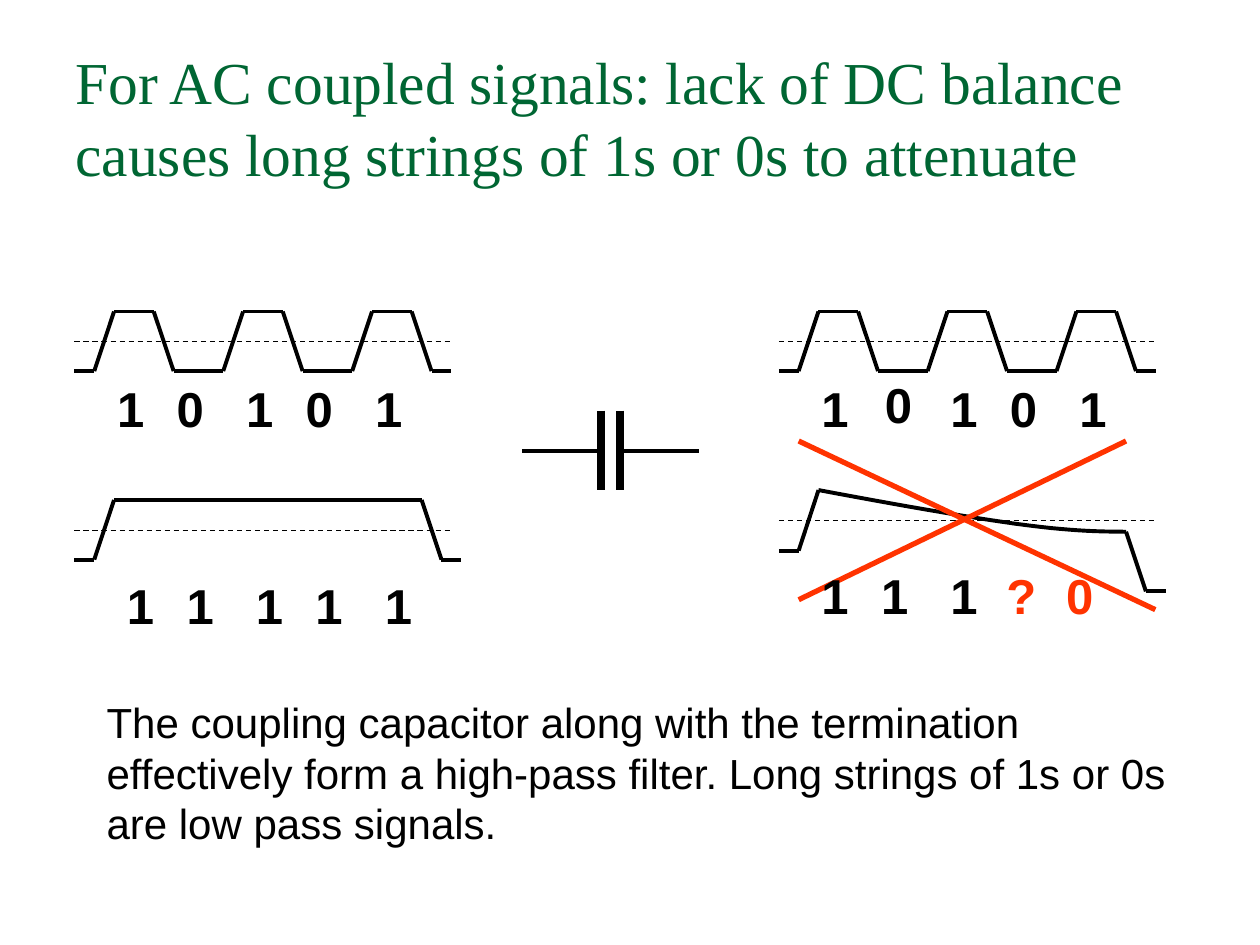
import itertools

import pptx
import pptx.dml.color
import pptx.enum.dml
import pptx.enum.shapes
import pptx.enum.text
import pptx.util
from lxml import etree

Cm = pptx.util.Cm
Pt = pptx.util.Pt
BLACK = "000000"
GREEN = "006633"
RED = "FF3300"


def color(hex_string):
    return pptx.dml.color.RGBColor.from_string(hex_string)


def bezier(start, control_1, control_2, end, steps=12):
    """Return points on a cubic curve, leaving out its start."""
    points = []
    for step in range(1, steps + 1):
        t = step / steps
        weights = ((1 - t) ** 3, 3 * t * (1 - t) ** 2, 3 * t ** 2 * (1 - t), t ** 3)
        corners = (start, control_1, control_2, end)
        points.append(tuple(sum(weight * corner[axis] for weight, corner in zip(weights, corners))
                            for axis in (0, 1)))
    return points


class SlideWriter:
    """Holds the signal diagram style and the slide being drawn."""

    heading_font = "Times New Roman"
    body_font = "Arial"
    signal_width = 2.25

    def __init__(self, presentation):
        self.slide = presentation.slides.add_slide(presentation.slide_layouts[5])

    def add_run(self, paragraph, text, size, font_name, hex_string=BLACK, bold=False):
        run = paragraph.add_run()
        run.text = text
        run.font.size = Pt(size)
        run.font.name = font_name
        run.font.bold = bold
        run.font.color.rgb = color(hex_string)

    def title(self, text, left, top, width, height):
        shape = self.slide.shapes.title
        shape.left, shape.top, shape.width, shape.height = map(Cm, (left, top, width, height))
        frame = shape.text_frame
        frame.auto_size = pptx.enum.text.MSO_AUTO_SIZE.NONE
        frame.vertical_anchor = pptx.enum.text.MSO_ANCHOR.MIDDLE
        paragraph = frame.paragraphs[0]
        paragraph.alignment = pptx.enum.text.PP_ALIGN.LEFT
        self.add_run(paragraph, text, 34, self.heading_font, GREEN)

    def text_box(self, left, top, width, height, wrap):
        """Add a text box and return its first paragraph."""
        shape = self.slide.shapes.add_textbox(Cm(left), Cm(top), Cm(width), Cm(height))
        frame = shape.text_frame
        frame.word_wrap = wrap
        frame.auto_size = pptx.enum.text.MSO_AUTO_SIZE.SHAPE_TO_FIT_TEXT
        return frame.paragraphs[0]

    def note(self, text, left, top, width, height):
        paragraph = self.text_box(left, top, width, height, True)
        self.add_run(paragraph, text, 24, self.body_font)

    def bit(self, text, left, top, hex_string=BLACK):
        paragraph = self.text_box(left, top, 1.07, 1.45, False)
        paragraph.alignment = pptx.enum.text.PP_ALIGN.CENTER
        self.add_run(paragraph, text, 28, self.body_font, hex_string, bold=True)

    def line(self, start, end, width=signal_width, hex_string=BLACK, dashed=False):
        connector = self.slide.shapes.add_connector(
            pptx.enum.shapes.MSO_CONNECTOR.STRAIGHT, *map(Cm, (*start, *end)))
        connector.line.width = Pt(width)
        connector.line.color.rgb = color(hex_string)
        if dashed:
            connector.line.dash_style = pptx.enum.dml.MSO_LINE.DASH
        etree.SubElement(connector._element.spPr, pptx.oxml.ns.qn("a:effectLst"))

    def trace(self, points):
        """Join successive points with signal lines."""
        for start, end in itertools.pairwise(points):
            self.line(start, end)

    def curve(self, points):
        points = [(Cm(x), Cm(y)) for x, y in points]
        builder = self.slide.shapes.build_freeform(*points[0])
        builder.add_line_segments(points[1:], close=False)
        shape = builder.convert_to_shape()
        shape.shadow.inherit = False
        shape.fill.background()
        shape.line.width = Pt(self.signal_width)
        shape.line.color.rgb = color(BLACK)


def draw_capacitor(writer):
    axis = 9.09
    for plate, wire_end in ((12.12, 10.52), (12.5, 14.1)):
        writer.line((plate, 8.28), (plate, 9.88), width=4.5)
        writer.line((plate, axis), (wire_end, axis))


def draw_pulse_train(writer, left):
    high, low, period = 6.28, 7.48, 2.6
    points = [(left, low)]
    for pulse in range(3):
        start = left + 0.4 + pulse * period
        points += [(start, low), (start + 0.4, high), (start + 1.2, high), (start + 1.6, low)]
    writer.trace(points + [(left + 7.6, low)])


def draw_attenuated_signal(writer):
    peak, middle, end = (16.5, 9.88), (20.48, 10.56), (22.7, 10.72)
    writer.trace([(15.7, 11.1), (16.1, 11.1), peak])
    writer.curve([peak]
                 + bezier(peak, (17.98, 10.16), (19.46, 10.42), middle)
                 + bezier(middle, (21.5, 10.7), (22.1, 10.72), end))
    writer.trace([end, (23.1, 11.92), (23.5, 11.92)])


def main():
    presentation = pptx.Presentation()
    presentation.slide_width, presentation.slide_height = Cm(25.4), Cm(19.05)
    writer = SlideWriter(presentation)
    writer.title("For AC coupled signals: lack of DC balance causes long strings "
                 "of 1s or 0s to attenuate", 1.27, 0.76, 22.86, 3.18)

    left, right = 1.5, 15.7
    draw_capacitor(writer)
    for start in (left, right):
        draw_pulse_train(writer, start)
    writer.trace([(left, 11.28), (1.9, 11.28), (2.3, 10.08),
                  (8.5, 10.08), (8.9, 11.28), (9.3, 11.28)])
    draw_attenuated_signal(writer)
    for start, height in ((left, 6.88), (right, 6.88), (left, 10.69), (right, 10.49)):
        writer.line((start, height), (start + 7.59, height), width=0.75, dashed=True)
    writer.line((16.1, 12.09), (22.7, 8.89), width=3, hex_string=RED)
    writer.line((16.1, 8.89), (23.29, 12.29), width=3, hex_string=RED)

    bit_offsets = (0.6, 1.8, 3.2, 4.4, 5.8)
    for bits, start, top in (("10101", left, 7.5), ("11111", left + 0.2, 11.48)):
        for text, offset in zip(bits, bit_offsets):
            writer.bit(text, start + offset, top)
    for text, x, top in zip("10101", (16.3, 17.58, 18.9, 20.1, 21.5),
                            (7.5, 7.42, 7.5, 7.5, 7.5)):
        writer.bit(text, x, top)
    for text, x in zip("111?0", (16.3, 17.5, 18.9, 20.04, 21.23)):
        writer.bit(text, x, 11.28, BLACK if text == "1" else RED)

    writer.note("The coupling capacitor along with the termination effectively form a "
                "high-pass filter. Long strings of 1s or 0s are low pass signals.",
                1.9, 13.92, 22.8, 3.3)
    presentation.save("out.pptx")


if __name__ == "__main__":
    main()
